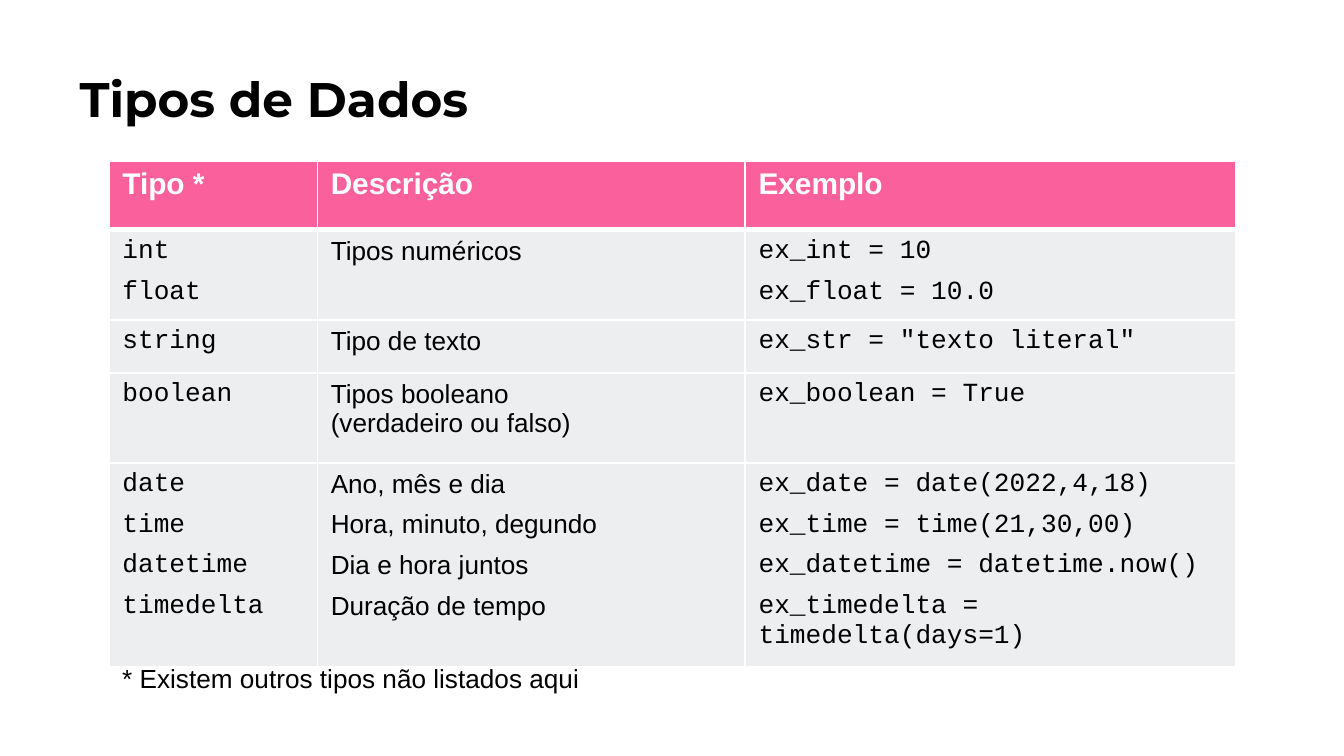
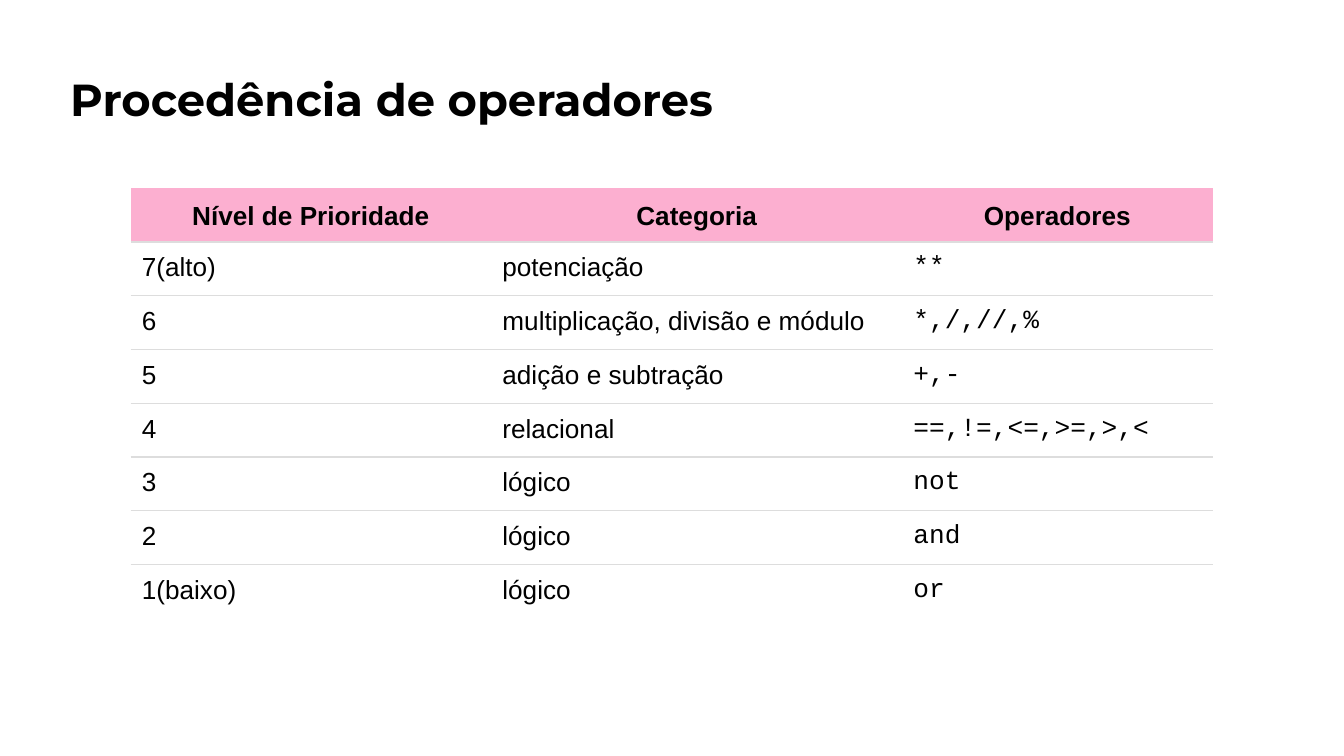
"""Build two slides with tables on data types and operator precedence."""

from copy import deepcopy
from dataclasses import dataclass
from typing import NamedTuple

from lxml import etree
from pptx import Presentation
from pptx.dml.color import RGBColor
from pptx.enum.text import MSO_ANCHOR, MSO_AUTO_SIZE, PP_ALIGN
from pptx.oxml.ns import qn
from pptx.util import Pt

LEFT, CENTER = PP_ALIGN.LEFT, PP_ALIGN.CENTER
TOP, MIDDLE, BOTTOM = MSO_ANCHOR.TOP, MSO_ANCHOR.MIDDLE, MSO_ANCHOR.BOTTOM
GROW = MSO_AUTO_SIZE.SHAPE_TO_FIT_TEXT
TITLE_ONLY = 5
SIDES = ("L", "R", "T", "B")


@dataclass(frozen=True)
class Theme:
    black: str = "000000"
    white: str = "FFFFFF"
    pink: str = "FA609B"
    light_pink: str = "FCAFD0"
    light_gray: str = "ECEEEF"
    rule_gray: str = "DDDDDD"
    title_font: str = "Montserrat"
    text_font: str = "Arial"
    code_font: str = "Courier New"
    large_title: float = 26
    small_title: float = 24
    large_header: float = 16
    body: float = 14


THEME = Theme()


class Box(NamedTuple):
    left: float
    top: float
    width: float
    height: float


class TextStyle(NamedTuple):
    font: str
    size: float
    color: str = THEME.black
    bold: bool = False
    align: PP_ALIGN = LEFT
    space_after: float = 0


class Border(NamedTuple):
    color: str
    width: float


class RowStyle(NamedTuple):
    fill: str
    borders: dict[str, Border]
    anchor: MSO_ANCHOR = TOP


@dataclass(frozen=True)
class TableDesign:
    box: Box
    column_widths: tuple[float, ...]
    row_heights: tuple[float, ...]
    header_text: TextStyle
    column_texts: tuple[TextStyle, ...]
    header_row: RowStyle
    body_row: RowStyle
    last_row: RowStyle
    margins: tuple[float, float]


def set_attributes(target, values: dict) -> None:
    """Set each named attribute on the target."""
    for name, value in values.items():
        setattr(target, name, value)


def write_text(text_frame, text: str, style: TextStyle) -> None:
    """Write one paragraph per line, with vertical tabs as line breaks."""
    for index, line in enumerate(text.split("\n")):
        paragraph = text_frame.paragraphs[0] if index == 0 else text_frame.add_paragraph()
        paragraph.text = line
        set_attributes(paragraph, {"alignment": style.align, "space_after": Pt(style.space_after)})
        for run in paragraph.runs:
            set_attributes(run.font, {"name": style.font, "size": Pt(style.size), "bold": style.bold})
            run.font.color.rgb = RGBColor.from_string(style.color)
        for line_break in paragraph._p.findall(qn("a:br")):
            line_break.insert(0, deepcopy(paragraph.runs[0]._r.rPr))


def place(shape, box: Box) -> None:
    """Move and size a shape."""
    set_attributes(shape, {name: Pt(value) for name, value in box._asdict().items()})


def add_titled_slide(presentation, title: str, box: Box, size: float):
    """Add a slide and format its title."""
    slide = presentation.slides.add_slide(presentation.slide_layouts[TITLE_ONLY])
    shape = slide.shapes.title
    place(shape, box)
    margins = {f"margin_{side}": Pt(7.2) for side in ("left", "top", "right", "bottom")}
    set_attributes(
        shape.text_frame,
        {"word_wrap": True, "auto_size": GROW, "vertical_anchor": MIDDLE, **margins},
    )
    write_text(shape.text_frame, title, TextStyle(THEME.title_font, size, bold=True))
    return slide


def draw_borders(cell, borders: dict[str, Border]) -> None:
    """Draw the given sides of a cell and clear the others."""
    properties = cell._tc.get_or_add_tcPr()
    for index, side in enumerate(SIDES):
        line = etree.Element(qn(f"a:ln{side}"))
        border = borders.get(side)
        if border:
            line.set("w", str(Pt(border.width)))
            fill = etree.SubElement(line, qn("a:solidFill"))
            etree.SubElement(fill, qn("a:srgbClr"), val=border.color)
        else:
            etree.SubElement(line, qn("a:noFill"))
        properties.insert(index, line)


def format_cell(cell, text: str, text_style: TextStyle, row: RowStyle, margins: tuple[float, float]) -> None:
    """Fill one cell with its text, colour and borders."""
    side, end = map(Pt, margins)
    set_attributes(
        cell,
        {
            "margin_left": side,
            "margin_right": side,
            "margin_top": end,
            "margin_bottom": end,
            "vertical_anchor": row.anchor,
        },
    )
    write_text(cell.text_frame, text, text_style)
    cell.fill.solid()
    cell.fill.fore_color.rgb = RGBColor.from_string(row.fill)
    draw_borders(cell, row.borders)


def add_styled_table(slide, design: TableDesign, rows: list[tuple[str, ...]]) -> None:
    """Add a table in the given design."""
    frame = slide.shapes.add_table(len(rows), len(design.column_widths), *map(Pt, design.box))
    table = frame.table
    table.horz_banding = False
    for column, width in zip(table.columns, design.column_widths):
        column.width = Pt(width)
    for row, height in zip(table.rows, design.row_heights):
        row.height = Pt(height)
    place(frame, design.box)
    body_rows = [design.body_row] * (len(rows) - 2)
    row_styles = [design.header_row, *body_rows, design.last_row]
    for row_index, (values, row_style) in enumerate(zip(rows, row_styles)):
        for column_index, value in enumerate(values):
            text_style = design.column_texts[column_index] if row_index else design.header_text
            format_cell(table.cell(row_index, column_index), value, text_style, row_style, design.margins)


def add_footnote(slide, text: str, box: Box) -> None:
    """Add a single-line note under the table."""
    shape = slide.shapes.add_textbox(*map(Pt, box))
    set_attributes(shape.text_frame, {"word_wrap": False, "auto_size": GROW})
    write_text(shape.text_frame, text, TextStyle(THEME.text_font, THEME.body))


WHITE_LINE = Border(THEME.white, 1)
WHITE_GRID = dict.fromkeys(SIDES, WHITE_LINE)
GRAY_RULE = Border(THEME.rule_gray, 0.75)
SPACED_TEXT = TextStyle(THEME.text_font, THEME.body, space_after=6)
SPACED_CODE = SPACED_TEXT._replace(font=THEME.code_font)
PLAIN_TEXT = TextStyle(THEME.text_font, THEME.body)
PLAIN_CODE = PLAIN_TEXT._replace(font=THEME.code_font)
TYPE_ROW = RowStyle(THEME.light_gray, WHITE_GRID)

TYPES_DESIGN = TableDesign(
    box=Box(58.4, 86.4, 603.6, 254),
    column_widths=(111.6, 229.2, 262.8),
    row_heights=(36.8, 48.2, 28.4, 48.2, 87.6),
    header_text=TextStyle(THEME.text_font, THEME.large_header, THEME.white, True),
    column_texts=(SPACED_CODE, SPACED_TEXT, SPACED_CODE),
    header_row=RowStyle(THEME.pink, {**WHITE_GRID, "B": Border(THEME.white, 3)}),
    body_row=TYPE_ROW._replace(borders=WHITE_GRID),
    last_row=TYPE_ROW,
    margins=(7.2, 3.6),
)

OPERATORS_DESIGN = TableDesign(
    box=Box(70, 100.8, 579.6, 230.4),
    column_widths=(193.2, 220.2, 166.2),
    row_heights=(28.8,) * 8,
    header_text=PLAIN_TEXT._replace(bold=True, align=CENTER),
    column_texts=(PLAIN_TEXT, PLAIN_TEXT, PLAIN_CODE),
    header_row=RowStyle(THEME.light_pink, {"B": GRAY_RULE}, BOTTOM),
    body_row=RowStyle(THEME.white, {"T": GRAY_RULE, "B": GRAY_RULE}),
    last_row=RowStyle(THEME.white, {"T": GRAY_RULE}),
    margins=(6, 6),
)

TYPES = [
    ("Tipo *", "Descrição", "Exemplo"),
    ("int\nfloat", "Tipos numéricos", "ex_int = 10\nex_float = 10.0"),
    ("string", "Tipo de texto", 'ex_str = "texto literal"'),
    ("boolean", "Tipos booleano \v(verdadeiro ou falso)", "ex_boolean = True"),
    (
        "date\ntime\ndatetime\ntimedelta",
        "Ano, mês e dia\nHora, minuto, degundo\nDia e hora juntos\nDuração de tempo",
        "ex_date = date(2022,4,18)\nex_time = time(21,30,00)\n"
        "ex_datetime = datetime.now()\nex_timedelta = timedelta(days=1)",
    ),
]

OPERATORS = [
    ("Nível de Prioridade", "Categoria", "Operadores"),
    ("7(alto)", "potenciação", "**"),
    ("6", "multiplicação, divisão e módulo", "*,/,//,%"),
    ("5", "adição e subtração", "+,-"),
    ("4", "relacional", "==,!=,<=,>=,>,<"),
    ("3", "lógico", "not"),
    ("2", "lógico", "and"),
    ("1(baixo)", "lógico", "or"),
]


def main() -> None:
    """Build and save the presentation."""
    presentation = Presentation()
    set_attributes(presentation, {"slide_width": Pt(720), "slide_height": Pt(405)})

    types_slide = add_titled_slide(presentation, "Tipos de Dados", Box(35.4, 29.6, 564, 46), THEME.large_title)
    add_styled_table(types_slide, TYPES_DESIGN, TYPES)
    add_footnote(types_slide, "* Existem outros tipos não listados aqui", Box(58.4, 351.4, 260.6, 24.4))

    operators_slide = add_titled_slide(
        presentation, "Procedência de operadores", Box(30.4, 31, 494, 44), THEME.small_title
    )
    add_styled_table(operators_slide, OPERATORS_DESIGN, OPERATORS)

    presentation.save("out.pptx")


if __name__ == "__main__":
    main()
